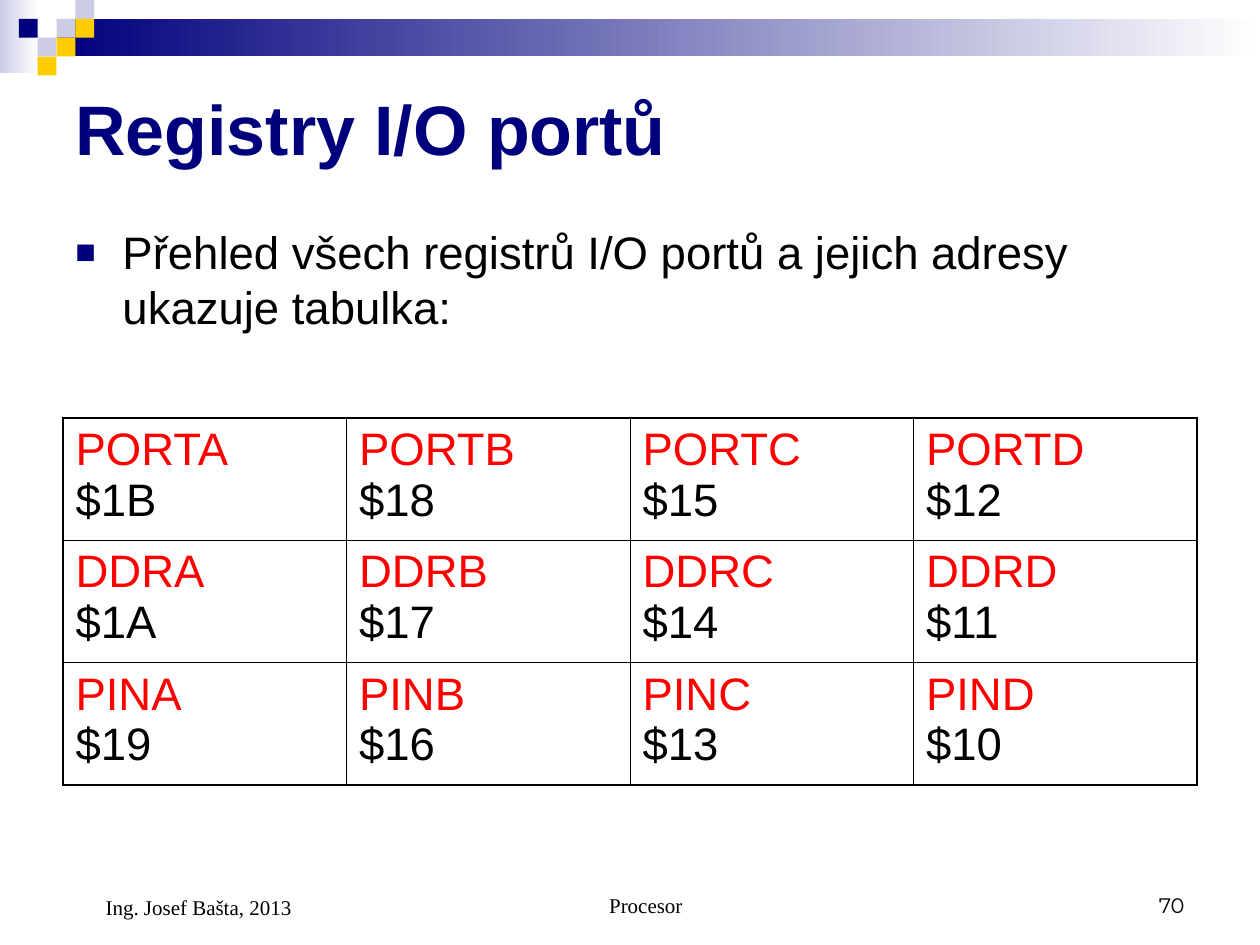
from pptx import Presentation
from pptx.dml.color import RGBColor
from pptx.enum.shapes import MSO_SHAPE
from pptx.enum.text import MSO_ANCHOR, PP_ALIGN
from pptx.oxml import parse_xml
from pptx.oxml.ns import nsdecls
from pptx.util import Cm, Pt


def rgb(value):
    return RGBColor.from_string(value)


class Deck:
    NAVY, LAVENDER, YELLOW = "00007D", "CCCCE6", "FFCC00"
    WHITE, BLACK, RED = "FFFFFF", "000000", "FF0000"
    SANS, SERIF, NUMBER = "Arial", "Times New Roman", "Montserrat"
    TEXT_SIZE, FOOTER_SIZE = 26, 12
    OUTER, INNER = 1.08, 0.45

    def __init__(self):
        self.prs = Presentation()
        self.prs.slide_width, self.prs.slide_height = Cm(25.4), Cm(19.05)
        self.s = self.prs.slides.add_slide(self.prs.slide_layouts[6])

    def rect(self, x, y, w, h, color, fade=False):
        sp = self.s.shapes.add_shape(MSO_SHAPE.RECTANGLE, Cm(x), Cm(y), Cm(w), Cm(h))
        sp.shadow.inherit = False
        sp.line.fill.background()
        if fade:
            sp.fill.gradient()
            sp.fill.gradient_angle = 180
            for stop, shade in zip(sp.fill.gradient_stops, (self.WHITE, color)):
                stop.color.rgb = rgb(shade)
        else:
            sp.fill.solid()
            sp.fill.fore_color.rgb = rgb(color)

    def style(self, r, size, font, color, bold=False):
        r.font.size, r.font.name, r.font.bold = Pt(size), font, bold
        r.font.color.rgb = rgb(color)

    def text(self, text, x, y, w, h, size, font, color=BLACK, bold=False,
             anchor=MSO_ANCHOR.TOP, align=PP_ALIGN.LEFT, margin=0):
        tf = self.s.shapes.add_textbox(Cm(x), Cm(y), Cm(w), Cm(h)).text_frame
        tf.word_wrap, tf.vertical_anchor = True, anchor
        p = tf.paragraphs[0]
        p.text, p.alignment = text, align
        p._p.get_or_add_pPr().set("marL", str(Cm(margin)))
        self.style(p.runs[0], size, font, color, bold)
        return p

    def bullet(self, text, x, y, w, h):
        p = self.text(text, x, y, w, h, self.TEXT_SIZE, self.SANS, margin=0.95)
        pPr = p._p.get_or_add_pPr()
        pPr.set("indent", str(-Cm(0.95)))
        for xml in (f'<a:buClr {nsdecls("a")}><a:srgbClr val="{self.NAVY}"/></a:buClr>',
                    f'<a:buSzPct {nsdecls("a")} val="75000"/>',
                    f'<a:buFont {nsdecls("a")} typeface="{self.SANS}"/>',
                    f'<a:buChar {nsdecls("a")} char="■"/>'):
            pPr.append(parse_xml(xml))

    def footer(self, text, x, w, font, align, margin=0, h=1.27):
        self.text(text, x, 17.35, w, h, self.FOOTER_SIZE, font,
                  anchor=MSO_ANCHOR.BOTTOM, align=align, margin=margin)

    def borders(self, cell, outer_sides):
        tcPr = cell._tc.get_or_add_tcPr()
        for side, outer in zip("LRTB", outer_sides):
            width = Pt(self.OUTER if outer else self.INNER)
            tcPr.append(parse_xml(
                f'<a:ln{side} {nsdecls("a")} w="{width}"><a:solidFill>'
                f'<a:srgbClr val="{self.BLACK}"/></a:solidFill></a:ln{side}>'))

    def table(self, rows, x, y, w, h):
        n_rows, n_cols = len(rows), len(rows[0])
        table = self.s.shapes.add_table(
            n_rows, n_cols, Cm(x), Cm(y), Cm(w), Cm(h)).table
        table.first_row = table.horz_banding = False
        for i, row in enumerate(rows):
            for j, (register, address) in enumerate(row):
                cell = table.cell(i, j)
                self.borders(cell, (j == 0, j == n_cols - 1, i == 0, i == n_rows - 1))
                cell.fill.background()
                p = cell.text_frame.paragraphs[0]
                p.text = f"{register}\n{address}"
                for r, color in zip(p.runs, (self.RED, self.BLACK)):
                    self.style(r, self.TEXT_SIZE, self.SANS, color)


def main():
    d = Deck()
    tile = 0.38
    d.rect(0, 0, 0.79, 1.47, d.LAVENDER, fade=True)
    d.rect(3 * tile, tile, 24.26, 2 * tile, d.NAVY, fade=True)
    tiles = {d.LAVENDER: [(3, 1), (4, 0), (2, 2)],
             d.YELLOW: [(4, 1), (3, 2), (2, 3)],
             d.NAVY: [(1, 1)]}
    for color, places in tiles.items():
        for col, row in places:
            d.rect(col * tile, row * tile, tile, tile, color)

    d.text("Registry I/O portů", 1.27, 1.27, 22.86, 2.62, 40, d.SANS, d.NAVY,
           bold=True, anchor=MSO_ANCHOR.MIDDLE)
    d.bullet("Přehled všech registrů I/O portů a jejich adresy ukazuje tabulka:",
             1.27, 4.4, 22.86, 2.87)

    addresses = {"PORT": ("$1B", "$18", "$15", "$12"),
                 "DDR": ("$1A", "$17", "$14", "$11"),
                 "PIN": ("$19", "$16", "$13", "$10")}
    rows = [[(kind + port, address) for port, address in zip("ABCD", values)]
            for kind, values in addresses.items()]
    d.table(rows, 1.27, 8.43, 22.86, 7.39)

    d.footer("Procesor", 8.69, 8.05, d.SERIF, PP_ALIGN.CENTER, margin=0.61)
    d.footer("70", 18.21, 5.92, d.NUMBER, PP_ALIGN.RIGHT)
    d.footer("Ing. Josef Bašta, 2013", 1.27, 5.92, d.SERIF, PP_ALIGN.LEFT,
             margin=0.61, h=1.32)
    d.prs.save("out.pptx")


if __name__ == "__main__":
    main()
